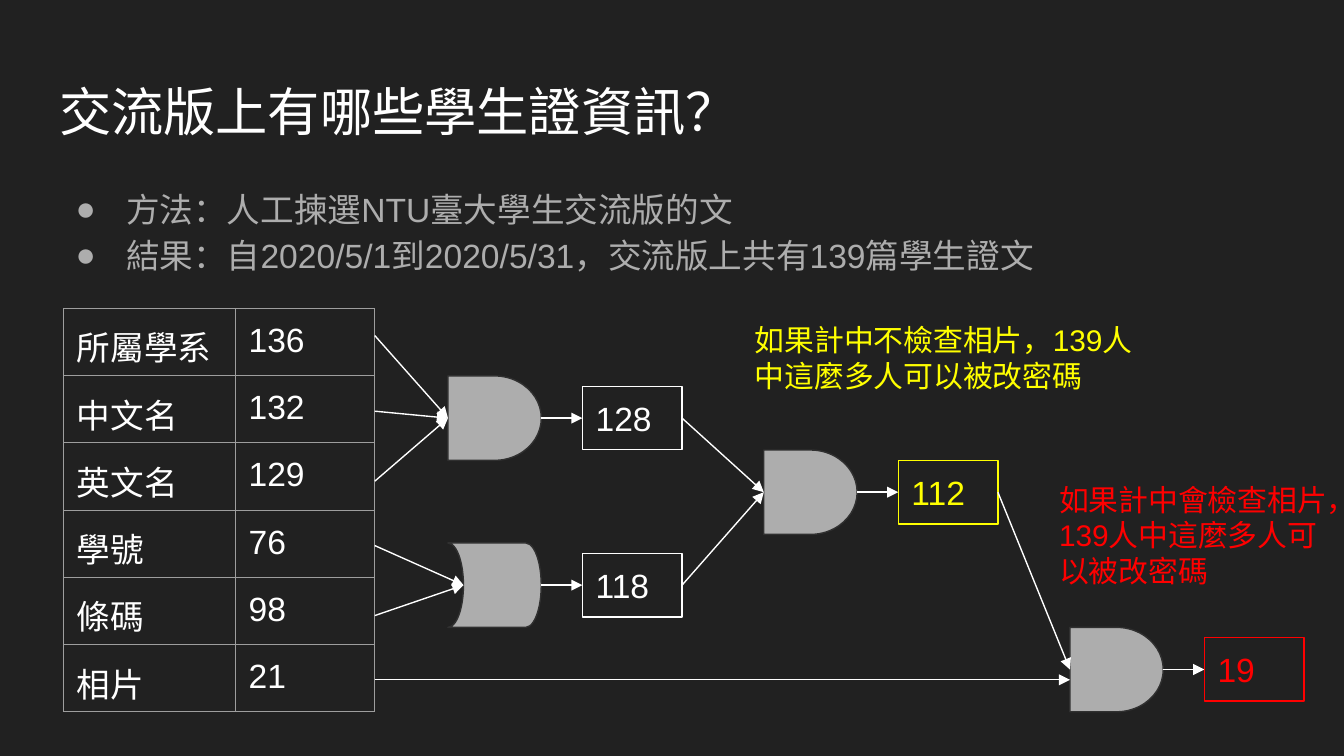
from dataclasses import dataclass
from typing import NamedTuple

from lxml import etree
from pptx import Presentation
from pptx.dml.color import RGBColor
from pptx.enum.shapes import MSO_CONNECTOR, MSO_SHAPE as Shp
from pptx.enum.text import MSO_ANCHOR as Anchor, PP_ALIGN as Align
from pptx.oxml import parse_xml
from pptx.oxml.ns import nsdecls, qn
from pptx.util import Pt


@dataclass(frozen=True)
class Theme:
    font: str = "Arial"
    back: str = "212121"
    ink: str = "FFFFFF"
    muted: str = "ADADAD"
    edge: str = "303030"
    grid: str = "9E9E9E"
    yellow: str = "FFFF00"
    red: str = "FF0000"
    title: float = 28
    body: float = 18
    note: float = 16
    line: float = 0.75
    inset: float = 7.2


class Gate(NamedTuple):
    kind: Shp
    x: float
    cy: float
    count: str
    color: str
    sources: tuple  # (x, y) where each incoming arrow starts
    entry: float = 0  # how far inside the gate the arrows end


class Note(NamedTuple):
    text: str
    box: tuple
    color: str


T = Theme()
GATE_W, GATE_H = 50, 45.2
BOX_W, BOX_H, BOX_DX = 53.4, 34, 72  # result box, offset from its gate
TABLE_X, TABLE_Y, COLS, ROW_H = 34, 165.2, (92, 74.8), 30
TABLE_END = 200.8

ROWS = (("所屬學系", "136"), ("中文名", "132"), ("英文名", "129"),
        ("學號", "76"), ("條碼", "98"), ("相片", "21"))
BULLETS = ("方法：人工揀選NTU臺大學生交流版的文",
           "結果：自2020/5/1到2020/5/31，交流版上共有139篇學生證文")

X1, X2, X3 = 240, 409.2, 573.2
Y_AND, Y_OR, Y_BOTH, Y_ALL = 224, 313.5, 263.7, 358.7
BOX_END = BOX_DX + BOX_W
GATES = (
    Gate(Shp.FLOWCHART_DELAY, X1, Y_AND, "128", T.ink,
         tuple((TABLE_END, y) for y in (179.8, 220.3, 257.8))),
    Gate(Shp.FLOWCHART_STORED_DATA, X1, Y_OR, "118", T.ink,
         tuple((TABLE_END, y) for y in (292.3, 329.8)), GATE_W / 6),
    Gate(Shp.FLOWCHART_DELAY, X2, Y_BOTH, "112", T.yellow,
         ((X1 + BOX_END, Y_AND), (X1 + BOX_END, Y_OR))),
    Gate(Shp.FLOWCHART_DELAY, X3, Y_ALL, "19", T.red,
         ((X2 + BOX_END, Y_BOTH),)),
)
PHOTO_Y = 364.2
NOTES = (
    Note("如果計中不檢查相片，139人中這麼多人可以被改密碼",
         (397.4, 165, 221, 54.7), T.yellow),
    Note("如果計中會檢查相片，139人中這麼多人可以被改密碼",
         (560.3, 250.6, 163.4, 77.8), T.red),
)


def rgb(color: str) -> RGBColor:
    return RGBColor.from_string(color)


def put_text(tf, *lines: str, size: float = T.body, color: str = T.ink,
             anchor: Anchor = Anchor.TOP, spacing: float = 1.0,
             bullet: str = "") -> None:
    """Write one paragraph per line into a text frame."""
    tf.word_wrap = True
    tf.vertical_anchor = anchor
    tf.margin_left = tf.margin_right = tf.margin_top = tf.margin_bottom = Pt(T.inset)
    for i, line in enumerate(lines):
        p = tf.paragraphs[0] if i == 0 else tf.add_paragraph()
        p.alignment, p.line_spacing = Align.LEFT, spacing
        if bullet:
            pPr = p._p.get_or_add_pPr()
            pPr.set("marL", str(Pt(36)))
            pPr.set("indent", str(Pt(-27)))
            clr = etree.SubElement(pPr, qn("a:buClr"))
            etree.SubElement(clr, qn("a:srgbClr"), val=color)
            etree.SubElement(pPr, qn("a:buFont"), typeface=T.font)
            etree.SubElement(pPr, qn("a:buChar"), char=bullet)
        r = p.add_run()
        r.text = line
        r.font.name, r.font.size = T.font, Pt(size)
        r.font.color.rgb = rgb(color)


def add_text(s, box: tuple, *lines: str, **fmt) -> None:
    put_text(s.shapes.add_textbox(*map(Pt, box)).text_frame, *lines, **fmt)


def add_shape(s, kind: Shp, box: tuple, line: str, fill: str = ""):
    sp = s.shapes.add_shape(kind, *map(Pt, box))
    sp.shadow.inherit = False
    if fill:
        sp.fill.solid()
        sp.fill.fore_color.rgb = rgb(fill)
    else:
        sp.fill.background()
    sp.line.color.rgb, sp.line.width = rgb(line), Pt(T.line)
    return sp


def add_arrow(s, start: tuple, end: tuple) -> None:
    c = s.shapes.add_connector(MSO_CONNECTOR.STRAIGHT, *map(Pt, start + end))
    c.line.color.rgb, c.line.width = rgb(T.ink), Pt(T.line)
    etree.SubElement(c.line._get_or_add_ln(), qn("a:tailEnd"), type="triangle")
    etree.SubElement(c._element.spPr, qn("a:effectLst"))


def add_table(s) -> None:
    frame = s.shapes.add_table(len(ROWS), len(COLS), Pt(TABLE_X), Pt(TABLE_Y),
                               Pt(sum(COLS)), Pt(ROW_H * len(ROWS)))
    table = frame.table
    table.first_row = table.horz_banding = False
    for col, width in zip(table.columns, COLS):
        col.width = Pt(width)
    for i, row in enumerate(ROWS):
        for j, text in enumerate(row):
            cell = table.cell(i, j)
            tcPr = cell._tc.get_or_add_tcPr()
            for side in "LRTB":
                tcPr.append(parse_xml(
                    f'<a:ln{side} {nsdecls("a")} w="{Pt(T.line)}"><a:solidFill>'
                    f'<a:srgbClr val="{T.grid}"/></a:solidFill></a:ln{side}>'))
            cell.fill.background()
            cell.margin_left = cell.margin_right = Pt(T.inset)
            cell.margin_top = cell.margin_bottom = Pt(T.inset)
            put_text(cell.text_frame, text)


def add_gate(s, g: Gate) -> None:
    """Draw a gate, its incoming arrows and its result box."""
    sp = add_shape(s, g.kind, (g.x, g.cy - GATE_H / 2, GATE_W, GATE_H),
                   T.edge, T.muted)
    if g.kind == Shp.FLOWCHART_STORED_DATA:
        sp._element.spPr.find(qn("a:xfrm")).set("flipH", "1")
    for source in g.sources:
        add_arrow(s, source, (g.x + g.entry, g.cy))
    add_arrow(s, (g.x + GATE_W, g.cy), (g.x + BOX_DX, g.cy))
    box = (g.x + BOX_DX, g.cy - BOX_H / 2, BOX_W, BOX_H)
    put_text(add_shape(s, Shp.RECTANGLE, box, g.color).text_frame, g.count,
             color=g.color, anchor=Anchor.MIDDLE)


def main() -> None:
    prs = Presentation()
    prs.slide_width, prs.slide_height = Pt(720), Pt(405)
    s = prs.slides.add_slide(prs.slide_layouts[5])
    s.background.fill.solid()
    s.background.fill.fore_color.rgb = rgb(T.back)

    # Title and bullets
    title = s.shapes.title
    title.left, title.top, title.width, title.height = map(Pt, (24.5, 35, 671, 45))
    put_text(title.text_frame, "交流版上有哪些學生證資訊？", size=T.title)
    add_text(s, (24.5, 90.7, 671, 269), *BULLETS, color=T.muted,
             spacing=1.15, bullet="●")

    # Counts and the gates that combine them
    add_table(s)
    for gate in GATES:
        add_gate(s, gate)
    add_arrow(s, (TABLE_END, PHOTO_Y), (X3, PHOTO_Y))

    # Conclusions
    for note in NOTES:
        add_text(s, note.box, note.text, size=T.note, color=note.color)
    prs.save("out.pptx")


if __name__ == "__main__":
    main()
